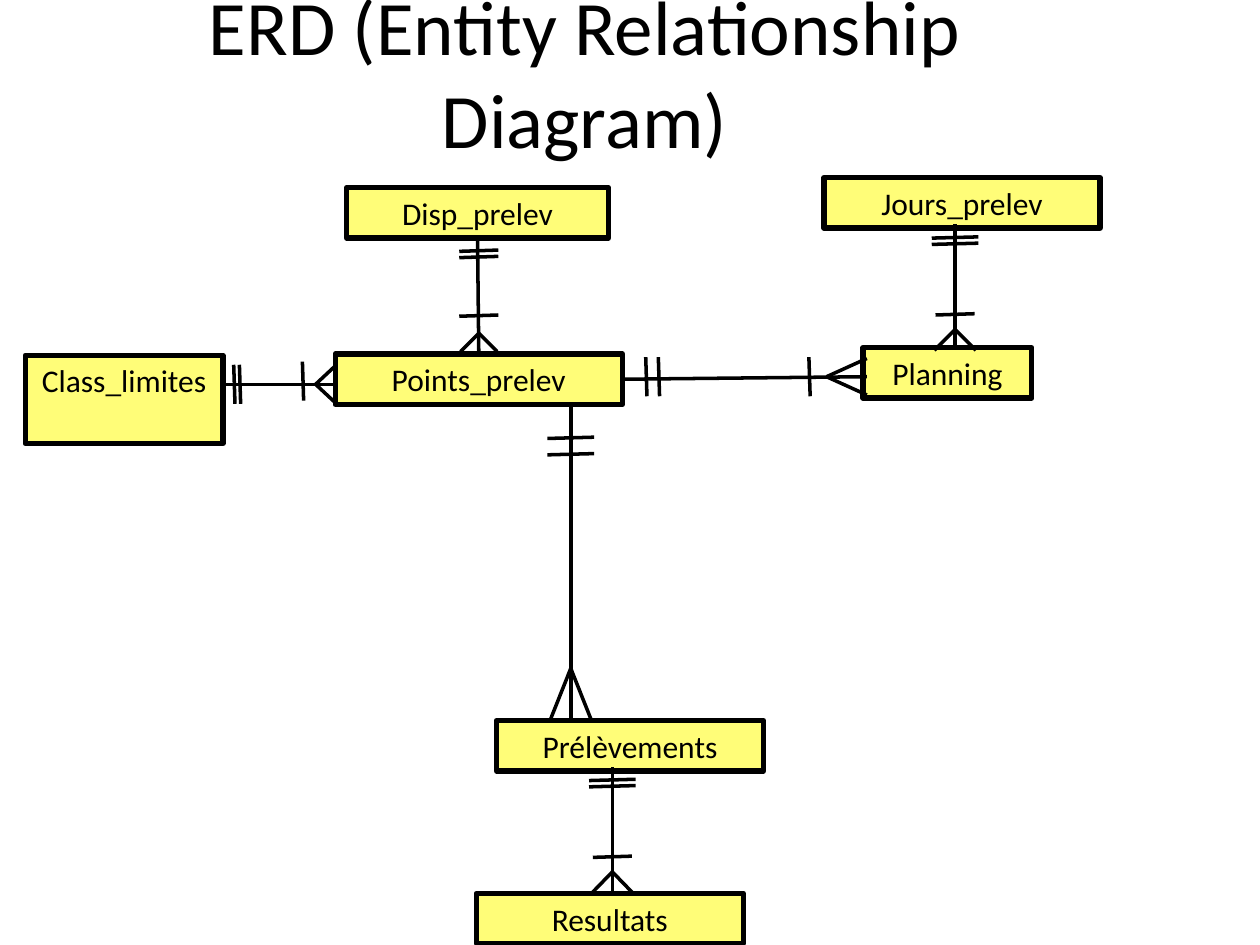
from dataclasses import dataclass
from typing import Optional

from lxml.etree import SubElement
from pptx import Presentation
from pptx.dml.color import RGBColor
from pptx.enum.shapes import MSO_CONNECTOR, MSO_SHAPE
from pptx.enum.text import MSO_ANCHOR, PP_ALIGN
from pptx.oxml.ns import qn
from pptx.util import Inches, Pt

# Grid of 100 columns by 75 rows
COLS, ROWS = 100, 75
CELL = Inches(10) / COLS
COLORS = {"ink": "000000", "box": "FFFD78"}
TOP, LEFT, BOTTOM, RIGHT = range(4)
SLANT = 0.05


@dataclass
class Box:
    name: str
    col: float
    row: float
    wide: float
    high: float = 4


@dataclass
class Link:
    """A relation from its 'one' end to its 'many' end."""
    down: bool                    # runs down, else across
    axis: float                   # fixed column or row
    one: float
    many: float
    bars: tuple[float, float]     # double bar of the 'one' end
    half: float                   # half length of these bars
    apex: float                   # tip of the crow's foot
    spread: float                 # half width of the foot
    mark: Optional[float] = None  # single bar of the 'many' end
    shift: float = 0              # offset of that bar from the axis
    begin: Optional[tuple[str, int]] = None
    end: Optional[tuple[str, int]] = None


BOXES = [
    Box("Disp_prelev", 27.5, 14.9, 20.8),
    Box("Class_limites", 2, 28.2, 15.7, 7),
    Box("Jours_prelev", 65.4, 14.1, 21.9),
    Box("Points_prelev", 26.6, 28.1, 22.8),
    Box("Planning", 68.5, 27.6, 13.4),
    Box("Prélèvements", 39.4, 57.2, 21.2),
    Box("Resultats", 37.8, 70.9, 21.2),
]

LINKS = [
    # Class_limites to Points_prelev
    Link(False, 30.5, 17.7, 26.6, (18.6, 19.05), 1.55, 25.05, 1.45, 24.05, -0.25),
    # Disp_prelev to Points_prelev
    Link(True, 38, 19, 27.9, (19.9, 20.4), 1.55, 26.45, 1.45, 25.05,
         begin=("Disp_prelev", BOTTOM), end=("Points_prelev", TOP)),
    # Points_prelev to Planning
    Link(False, 29.9, 49.4, 68.8, (51.3, 52.3), 1.55, 65.6, 1.45, 64.25,
         begin=("Points_prelev", RIGHT)),
    # Points_prelev to Prélèvements
    Link(True, 45.3, 32.3, 57.2, (34.75, 36.05), 1.85, 53.05, 1.65),
    # Jours_prelev to Planning
    Link(True, 75.8, 17.8, 27.8, (18.85, 19.35), 1.85, 26.15, 1.65, 24.95),
    # Prélèvements to Resultats
    Link(True, 48.6, 60.9, 70.9, (61.9, 62.4), 1.85, 69.2, 1.65, 68),
]


def grid(*cells: float) -> list[int]:
    return [round(cell * CELL) for cell in cells]


def ink(key: str) -> RGBColor:
    return RGBColor.from_string(COLORS[key])


def write(shape, text: str, size: int, anchor) -> None:
    frame = shape.text_frame
    for key, value in {"word_wrap": True, "vertical_anchor": anchor}.items():
        setattr(frame, key, value)
    line = frame.paragraphs[0]
    line.alignment = PP_ALIGN.CENTER
    run = line.add_run()
    run.text = text
    for key, value in {"name": "Calibri", "size": Pt(size)}.items():
        setattr(run.font, key, value)
    run.font.color.rgb = ink("ink")


def stroke(shape, width: float) -> None:
    shape.line.color.rgb = ink("ink")
    shape.line.width = Pt(width)


def draw_box(slide, box: Box):
    shape = slide.shapes.add_shape(
        MSO_SHAPE.RECTANGLE, *grid(box.col, box.row, box.wide, box.high))
    shape.shadow.inherit = False
    shape.fill.solid()
    shape.fill.fore_color.rgb = ink("box")
    stroke(shape, 3)
    write(shape, box.name, 18, MSO_ANCHOR.TOP)
    return shape


def draw_line(slide, start: tuple[float, float], stop: tuple[float, float]):
    line = slide.shapes.add_connector(
        MSO_CONNECTOR.STRAIGHT, *grid(*start, *stop))
    stroke(line, 2)
    SubElement(line._element.spPr, qn("a:effectLst"))
    return line


def draw_link(slide, link: Link, shapes: dict) -> None:
    def spot(along: float, off: float = 0) -> tuple[float, float]:
        side = link.axis + off
        return (side, along) if link.down else (along, side)

    def bar(along: float, half: float, shift: float = 0) -> None:
        tilt = -SLANT if link.down else SLANT
        draw_line(slide, spot(along - tilt, shift - half),
                  spot(along + tilt, shift + half))

    # Stem, joined where it meets the middle of a side
    stem = draw_line(slide, spot(link.one), spot(link.many))
    if link.begin:
        stem.begin_connect(shapes[link.begin[0]], link.begin[1])
    if link.end:
        stem.end_connect(shapes[link.end[0]], link.end[1])
    # Crow's foot
    for side in (-link.spread, link.spread):
        draw_line(slide, spot(link.apex), spot(link.many, side))
    # Bars
    for along in link.bars:
        bar(along, link.half)
    if link.mark is not None:
        bar(link.mark, 1.55, link.shift)


def main() -> None:
    deck = Presentation()
    deck.slide_width, deck.slide_height = grid(COLS, ROWS)
    slide = deck.slides.add_slide(deck.slide_layouts[6])
    # Title
    title = slide.shapes.add_textbox(*grid(4.3, 2.2, 84.2, 6.9))
    write(title, "ERD (Entity Relationship Diagram)", 44, MSO_ANCHOR.MIDDLE)
    # Entities, then relations
    shapes = {box.name: draw_box(slide, box) for box in BOXES}
    for link in LINKS:
        draw_link(slide, link, shapes)
    deck.save("out.pptx")


if __name__ == "__main__":
    main()
